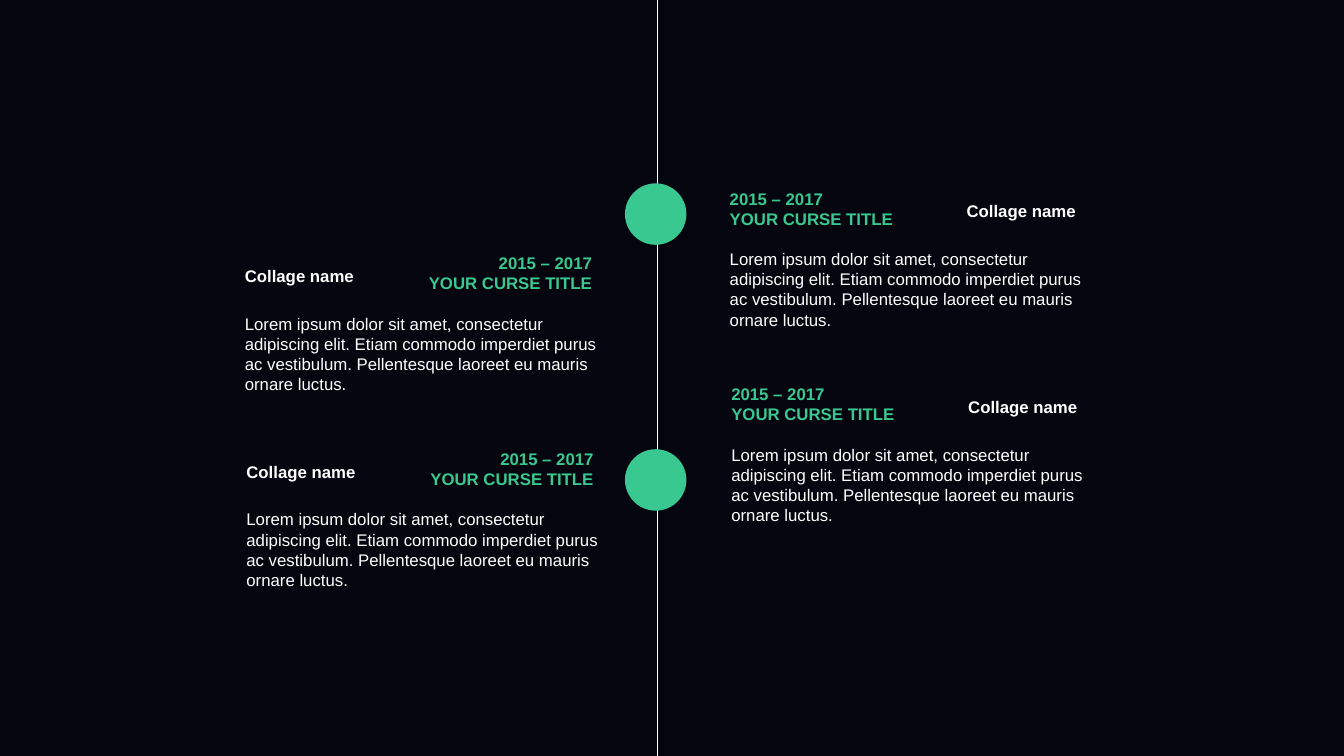
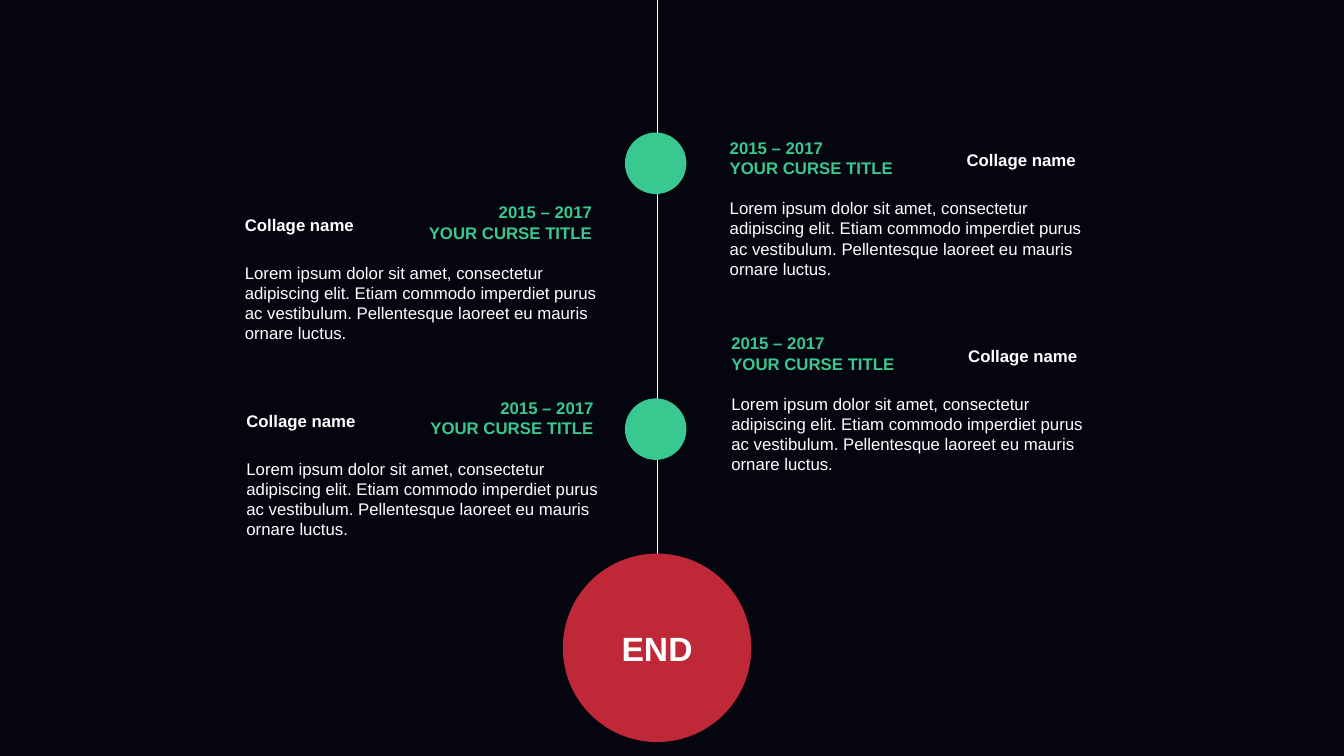
from pptx import Presentation
from pptx.dml.color import RGBColor
from pptx.enum.shapes import MSO_CONNECTOR as Link, MSO_SHAPE as Shape
from pptx.enum.text import MSO_ANCHOR as Anchor, PP_ALIGN as Align
from pptx.oxml.ns import qn
from pptx.util import Cm, Pt
from lxml.etree import SubElement

NIGHT = RGBColor(0x05, 0x05, 0x0F)
GREEN = RGBColor(0x39, 0xC8, 0x8F)
RED = RGBColor(0xBF, 0x29, 0x37)
WHITE = RGBColor(0xFF, 0xFF, 0xFF)

FONT = "Arial"
WIDE, HIGH = 33.87, 19.05
AXIS = 16.56
DOT, DOT_X, DOT_STEP = 1.55, 15.75, 6.7
BOX_W, BOX_H = 9.37, 3.84
NAME_W, NAME_H, NAME_DROP = 3.4, 0.76, 0.32
LEFT_X, RIGHT_X = 5.92, 18.14
PAIR_DROP, PAIR_STEP, PAIR_SHIFT = 1.63, 4.93, 0.04
END_SIZE, END_TOP = 4.75, 13.95

YEARS = "2015 – 2017"
TITLE = "YOUR CURSE TITLE"
NAME = "Collage name"
BODY = ("Lorem ipsum dolor sit amet, consectetur adipiscing elit. "
        "Etiam commodo imperdiet purus ac vestibulum. "
        "Pellentesque laoreet eu mauris ornare luctus.")


def write(frame, text, first=False, size=12, color=WHITE, bold=False,
          align=Align.LEFT, before=0):
    """Add one formatted paragraph, or fill the first one."""
    para = frame.paragraphs[0] if first else frame.add_paragraph()
    para.alignment = align
    para.space_before = Pt(before)
    run = para.add_run()
    run.text = text
    font = run.font
    font.name, font.size, font.bold = FONT, Pt(size), bold
    font.color.rgb = color


def add_box(shapes, x, y, w, h, wrap=True):
    frame = shapes.add_textbox(Cm(x), Cm(y), Cm(w), Cm(h)).text_frame
    frame.word_wrap = wrap
    return frame


def add_disc(slide, x, y, size, color):
    disc = slide.shapes.add_shape(Shape.OVAL, Cm(x), Cm(y), Cm(size), Cm(size))
    disc.shadow.inherit = False
    disc.fill.solid()
    disc.fill.fore_color.rgb = color
    disc.line.fill.background()
    return disc


def add_axis(slide, end=HIGH):
    line = slide.shapes.add_connector(Link.STRAIGHT, Cm(AXIS), Cm(0), Cm(AXIS), Cm(end))
    line.line.color.rgb = WHITE
    line.line.width = Pt(0.5)
    SubElement(line._element.spPr, qn("a:effectLst"))
    return line


def add_entry(slide, x, y, right):
    """Add one course, with its heading on the side next to the axis."""
    shapes = slide.shapes.add_group_shape().shapes
    frame = add_box(shapes, x, y, BOX_W, BOX_H)
    align, tail = (Align.LEFT, "") if right else (Align.RIGHT, " ")
    for text in (YEARS, TITLE):
        write(frame, text + tail, first=text == YEARS, color=GREEN, bold=True, align=align)
    write(frame, BODY, before=14.4)
    name_x = x + BOX_W - NAME_W if right else x
    frame = add_box(shapes, name_x, y + NAME_DROP, NAME_W, NAME_H, wrap=False)
    write(frame, NAME, first=True, bold=True)


def add_courses(slide, top):
    """Add two dots and two pairs of courses, starting at top."""
    for row in range(2):
        add_disc(slide, DOT_X, top + row * DOT_STEP, DOT, GREEN)
    for row in range(2):
        shift, y = row * PAIR_SHIFT, top + row * PAIR_STEP
        add_entry(slide, RIGHT_X + shift, y, right=True)
        add_entry(slide, LEFT_X + shift, y + PAIR_DROP, right=False)


def add_end(slide):
    disc = add_disc(slide, AXIS - END_SIZE / 2, END_TOP, END_SIZE, RED)
    frame = disc.text_frame
    frame.vertical_anchor = Anchor.MIDDLE
    write(frame, "END", first=True, size=24, bold=True, align=Align.CENTER)
    return disc


def main():
    deck = Presentation()
    deck.slide_width, deck.slide_height = Cm(WIDE), Cm(HIGH)
    back = deck.slide_master.background.fill
    back.solid()
    back.fore_color.rgb = NIGHT
    blank = deck.slide_layouts[6]

    slide = deck.slides.add_slide(blank)
    add_axis(slide)
    add_courses(slide, 4.62)

    slide = deck.slides.add_slide(blank)
    line = add_axis(slide, END_TOP)
    add_courses(slide, 3.34)
    line.end_connect(add_end(slide), 0)

    deck.save("out.pptx")


if __name__ == "__main__":
    main()
